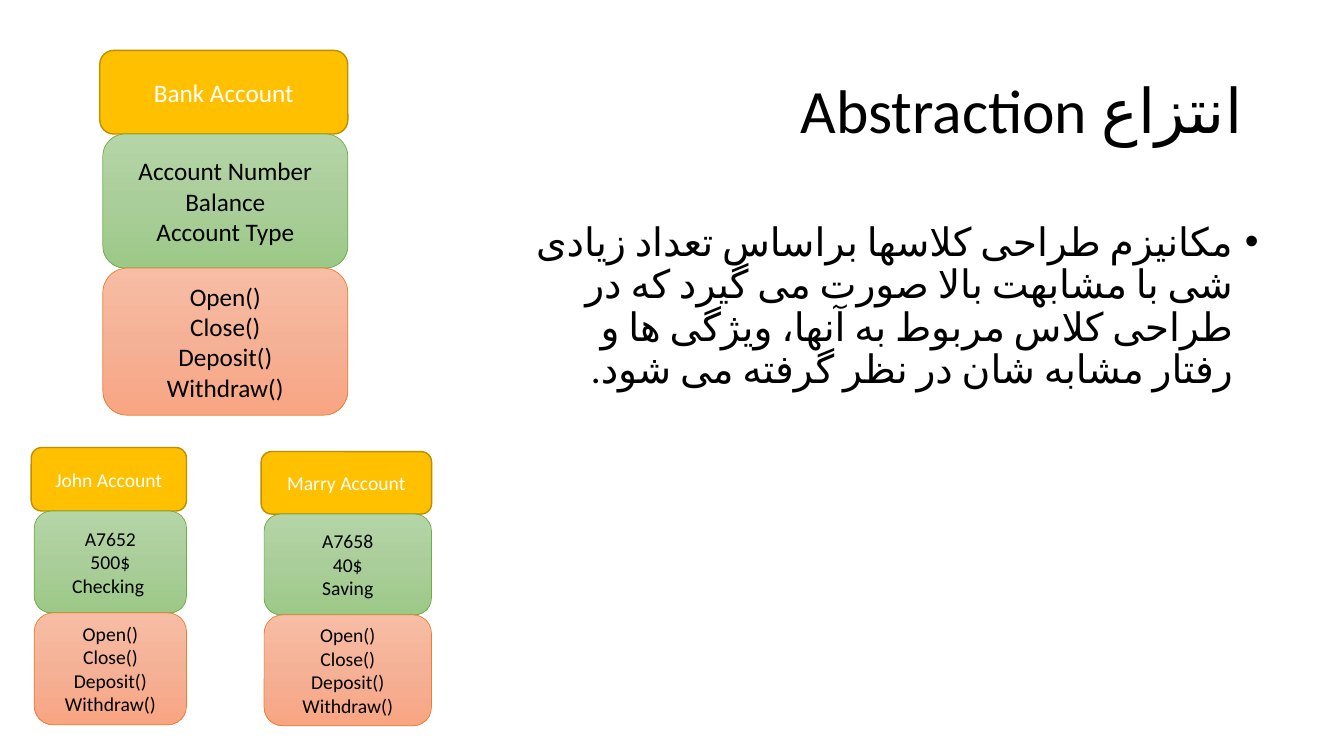
import copy
from dataclasses import dataclass

import pptx
import pptx.dml.color
import pptx.enum.shapes
import pptx.enum.text
import pptx.oxml.ns
import pptx.util
from lxml import etree

Inches = pptx.util.Inches
Pt = pptx.util.Pt
RGBColor = pptx.dml.color.RGBColor
Align = pptx.enum.text.PP_ALIGN
Anchor = pptx.enum.text.MSO_ANCHOR
qn = pptx.oxml.ns.qn

FONT = "Calibri"
BLACK = RGBColor(0x00, 0x00, 0x00)
WHITE = RGBColor(0xFF, 0xFF, 0xFF)
GOLD = RGBColor(0xFF, 0xC0, 0x00)
DARK_GOLD = RGBColor(0xBD, 0x8E, 0x00)
GREEN = RGBColor(0x70, 0xAD, 0x47)
GREEN_SHADES = [RGBColor(0xB5, 0xD5, 0xA7), RGBColor(0xAA, 0xCE, 0x9A), RGBColor(0x9C, 0xC9, 0x87)]
ORANGE = RGBColor(0xED, 0x7D, 0x31)
ORANGE_SHADES = [RGBColor(0xF7, 0xBD, 0xA5), RGBColor(0xF5, 0xB1, 0x96), RGBColor(0xF8, 0xA5, 0x82)]

HEADER_OVERHANG = 0.03
METHODS = ["Open()", "Close()", "Deposit()", "Withdraw()"]


@dataclass
class Style:
    shades: list[RGBColor]
    line: RGBColor
    line_width: float
    text: RGBColor


@dataclass
class Account:
    name: str
    attributes: list[str]
    left: float
    top: float
    width: float
    heights: tuple[float, float, float]
    size: int


HEADER = Style([GOLD], DARK_GOLD, 1, WHITE)
ATTRIBUTES = Style(GREEN_SHADES, GREEN, 0.5, BLACK)
BEHAVIOUR = Style(ORANGE_SHADES, ORANGE, 0.5, BLACK)

ACCOUNTS = [
    Account("John Account", ["A7652", "500$", "Checking "], 0.34, 4.44, 1.51, (0.63, 1.01, 1.11), 14),
    Account("Marry Account", ["A7658", "40$", "Saving"], 2.62, 4.48, 1.66, (0.62, 1.0, 1.1), 14),
    Account("Bank Account", ["Account Number", "Balance", "Account Type"],
            1.02, 0.5, 2.43, (0.83, 1.33, 1.46), 18),
]


def add_span(para, text: str, size: int, color: RGBColor):
    span = para.add_run()
    span.text = text
    span.font.name = FONT
    span.font.size = Pt(size)
    span.font.color.rgb = color
    return span


def fill_shape(shape, shades: list[RGBColor]) -> None:
    """Fill with one plain colour, or with three shades from top to bottom."""
    if len(shades) == 1:
        shape.fill.solid()
        shape.fill.fore_color.rgb = shades[0]
        return
    shape.fill.gradient()
    shape.fill.gradient_angle = 270
    first = shape.element.spPr.find(".//" + qn("a:gs"))
    middle = copy.deepcopy(first)
    middle.set("pos", "50000")
    first.addnext(middle)
    for stop, shade in zip(shape.fill.gradient_stops, shades):
        stop.color.rgb = shade


def add_section(group, left: float, top: float, width: float, height: float,
                lines: list[str], size: int, style: Style) -> None:
    box = group.shapes.add_shape(
        pptx.enum.shapes.MSO_SHAPE.ROUNDED_RECTANGLE,
        Inches(left), Inches(top), Inches(width), Inches(height))
    box.shadow.inherit = False
    fill_shape(box, style.shades)
    box.line.color.rgb = style.line
    box.line.width = Pt(style.line_width)
    frame = box.text_frame
    frame.vertical_anchor = Anchor.MIDDLE
    for index, line in enumerate(lines):
        para = frame.add_paragraph() if index else frame.paragraphs[0]
        para.alignment = Align.CENTER
        add_span(para, line, size, style.text)


def add_account(page, account: Account) -> None:
    group = page.shapes.add_group_shape()
    top = account.top
    sections = [([account.name], HEADER), (account.attributes, ATTRIBUTES), (METHODS, BEHAVIOUR)]
    for (lines, style), height in zip(sections, account.heights):
        overhang = HEADER_OVERHANG if style is HEADER else 0
        add_section(group, account.left - overhang, top, account.width + overhang, height,
                    lines, account.size, style)
        top += height


def add_persian_text(page, left: float, top: float, width: float, height: float,
                     text: str, size: int, anchor: Anchor):
    """Add a right-to-left text box and return its paragraph."""
    box = page.shapes.add_textbox(Inches(left), Inches(top), Inches(width), Inches(height))
    frame = box.text_frame
    frame.word_wrap = True
    frame.vertical_anchor = anchor
    para = frame.paragraphs[0]
    para.alignment = Align.RIGHT
    para.line_spacing = 0.9
    para._p.get_or_add_pPr().set("rtl", "1")
    span_properties = add_span(para, text, size, BLACK)._r.get_or_add_rPr()
    span_properties.set("lang", "fa-IR")
    etree.SubElement(span_properties, qn("a:cs")).set("typeface", FONT)
    return para


def add_bullet(para) -> None:
    properties = para._p.get_or_add_pPr()
    properties.set("marL", str(Inches(0.25)))
    properties.set("indent", str(Inches(-0.25)))
    etree.SubElement(properties, qn("a:buFont")).set("typeface", "Arial")
    etree.SubElement(properties, qn("a:buChar")).set("char", "•")


def main() -> None:
    deck = pptx.Presentation()
    deck.slide_width = Inches(13.33)
    deck.slide_height = Inches(7.5)
    page = deck.slides.add_slide(deck.slide_layouts[6])

    add_persian_text(page, 0.92, 0.4, 11.5, 1.45, "انتزاع Abstraction", 44, Anchor.MIDDLE)
    definition = add_persian_text(
        page, 5.02, 2.16, 7.56, 4.76,
        "مکانیزم طراحی کلاسها براساس تعداد زیادی شی با مشابهت بالا صورت می گیرد که در "
        "طراحی کلاس مربوط به آنها، ویژگی ها و رفتار مشابه شان در نظر گرفته می شود.",
        28, Anchor.TOP)
    definition.space_before = Pt(10)
    add_bullet(definition)

    for account in ACCOUNTS:
        add_account(page, account)
    deck.save("out.pptx")


if __name__ == "__main__":
    main()
